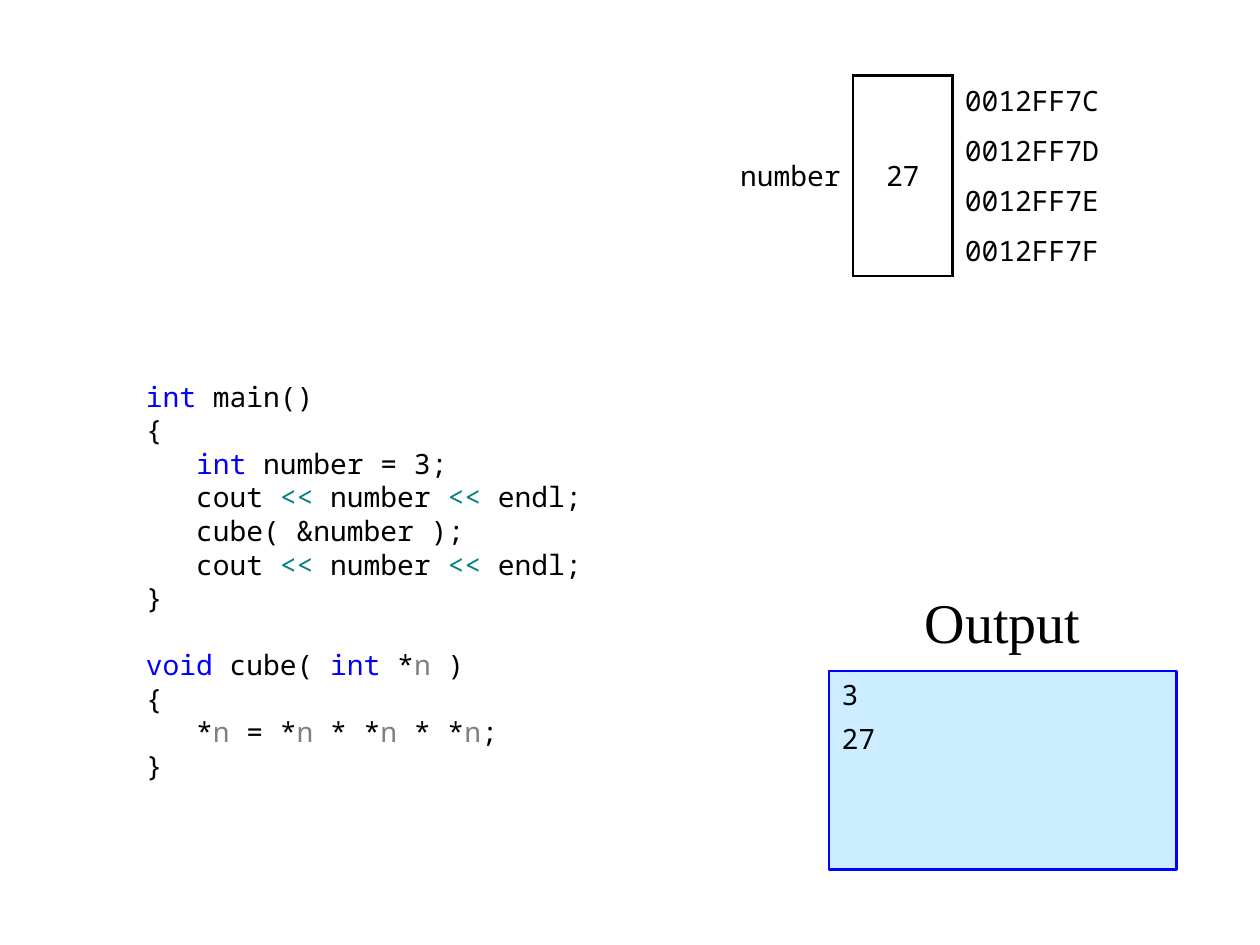
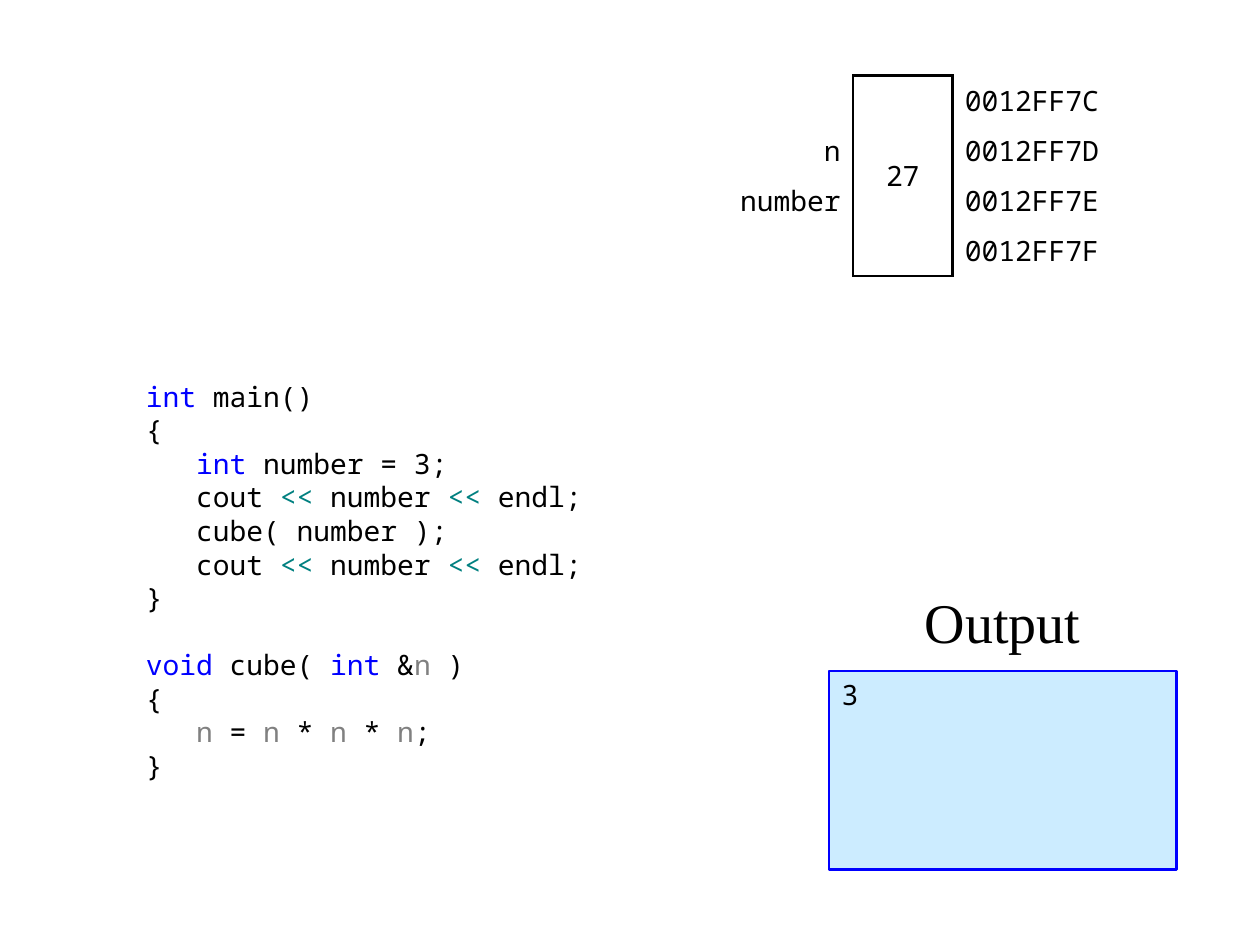
from dataclasses import dataclass
from itertools import groupby

from lxml.etree import SubElement
from pptx import Presentation
from pptx.dml.color import RGBColor
from pptx.enum.shapes import MSO_SHAPE
from pptx.enum.text import MSO_ANCHOR, PP_ALIGN
from pptx.oxml.ns import qn
from pptx.slide import Slide
from pptx.table import Table, _Cell
from pptx.text.text import TextFrame, _Paragraph
from pptx.util import Pt

BLACK = RGBColor(0x00, 0x00, 0x00)
BLUE = RGBColor(0x00, 0x00, 0xFF)
TEAL = RGBColor(0x00, 0x80, 0x80)
GREY = RGBColor(0x80, 0x80, 0x80)
PALE_BLUE = RGBColor(0xCC, 0xEC, 0xFF)
TOKEN_COLOURS = {"int": BLUE, "void": BLUE, "<<": TEAL, "n": GREY}

CODE_FONT = {"name": "Noto Sans Mono", "size": Pt(16)}
TITLE_FONT = {"name": "Times New Roman", "size": Pt(32)}
CELL_FORMAT = {
    "vertical_anchor": MSO_ANCHOR.MIDDLE,
    "margin_left": Pt(7.2),
    "margin_right": Pt(7.2),
    "margin_top": Pt(1.44),
    "margin_bottom": Pt(1.44),
}
PLAIN_TABLE_STYLE = "{2D5ABB26-0587-4C30-8999-92F81FD0307C}"

UNIT = 28.35
LINE_WIDTH = Pt(1.5)
BLANK_LINE = Pt(19)
ADDRESSES = ["0012FF7C", "0012FF7D", "0012FF7E", "0012FF7F"]

MAIN_FUNCTION = """int main()
{{
   int number = 3;
   cout << number << endl;
   cube( {argument} );
   cout << number << endl;
}}"""
CUBE_FUNCTION = """void cube( int {parameter} )
{{
   {body}
}}"""


@dataclass(frozen=True)
class Label:
    text: str
    row: int
    rows: int = 1


@dataclass(frozen=True)
class Example:
    argument: str
    parameter: str
    body: str
    labels: list[Label]
    output: list[str]


EXAMPLES = [
    Example("&number", "*n", "*n = *n * *n * *n;", [Label("number", 1, 2)], ["3", "27"]),
    Example("number", "&n", "n = n * n * n;", [Label("n", 1), Label("number", 2)], ["3"]),
]


def apply(target: object, values: dict) -> None:
    for name, value in values.items():
        setattr(target, name, value)


def add_run(paragraph: _Paragraph, text: str, font: dict, colour: RGBColor = BLACK) -> None:
    run = paragraph.add_run()
    run.text = text
    apply(run.font, font)
    run.font.color.rgb = colour


def next_paragraph(frame: TextFrame, index: int) -> _Paragraph:
    return frame.add_paragraph() if index else frame.paragraphs[0]


def character_kind(character: str) -> str:
    if character.isalnum():
        return "word"
    return "shift" if character == "<" else "other"


def add_code_line(paragraph: _Paragraph, line: str) -> None:
    tokens = ["".join(group) for _, group in groupby(line, character_kind)]
    for colour, group in groupby(tokens, lambda token: TOKEN_COLOURS.get(token, BLACK)):
        add_run(paragraph, "".join(group), CODE_FONT, colour)


def add_code(slide: Slide, example: Example) -> None:
    box = slide.shapes.add_textbox(Pt(76.3), Pt(213.1), Pt(269.3), Pt(241.2))
    frame = box.text_frame
    frame.word_wrap = True
    main_lines = MAIN_FUNCTION.format(argument=example.argument).split("\n")
    cube = CUBE_FUNCTION.format(parameter=example.parameter, body=example.body)
    for index, line in enumerate(main_lines + cube.split("\n")):
        paragraph = next_paragraph(frame, index)
        if index == len(main_lines):
            paragraph.space_before = BLANK_LINE
        add_code_line(paragraph, line)


def add_output(slide: Slide, lines: list[str]) -> None:
    screen = slide.shapes.add_shape(
        MSO_SHAPE.RECTANGLE, Pt(473.8), Pt(383.5), Pt(7 * UNIT), Pt(4 * UNIT)
    )
    screen.shadow.inherit = False
    screen.fill.solid()
    screen.fill.fore_color.rgb = PALE_BLUE
    screen.line.color.rgb = BLUE
    screen.line.width = LINE_WIDTH
    screen.text_frame.vertical_anchor = MSO_ANCHOR.TOP
    for index, line in enumerate(lines):
        paragraph = next_paragraph(screen.text_frame, index)
        paragraph.alignment = PP_ALIGN.LEFT
        if index:
            paragraph.space_before = Pt(6)
        add_run(paragraph, line, CODE_FONT)

    title = slide.shapes.add_textbox(Pt(516.2), Pt(326.8), Pt(4 * UNIT), Pt(2 * UNIT))
    apply(title.text_frame, {"word_wrap": False, "vertical_anchor": MSO_ANCHOR.MIDDLE})
    paragraph = title.text_frame.paragraphs[0]
    paragraph.alignment = PP_ALIGN.CENTER
    add_run(paragraph, "Output", TITLE_FONT)


def set_borders(cell: _Cell, sides: str) -> None:
    properties = cell._tc.get_or_add_tcPr()
    for position, side in enumerate(sides):
        line = properties.makeelement(qn(f"a:ln{side}"), {"w": str(LINE_WIDTH)})
        fill = SubElement(line, qn("a:solidFill"))
        SubElement(fill, qn("a:srgbClr"), val=str(BLACK))
        properties.insert(position, line)


def write_cell(cell: _Cell, text: str, alignment: PP_ALIGN) -> None:
    apply(cell, CELL_FORMAT)
    paragraph = cell.text_frame.paragraphs[0]
    paragraph.alignment = alignment
    add_run(paragraph, text, CODE_FONT)


def merge_rows(table: Table, column: int, first: int, count: int) -> _Cell:
    cell = table.cell(first, column)
    if count > 1:
        cell.merge(table.cell(first + count - 1, column))
    return cell


def add_memory(slide: Slide, labels: list[Label]) -> None:
    count = len(ADDRESSES)
    table = slide.shapes.add_table(
        count, 3, Pt(402.5), Pt(43.2), Pt(9 * UNIT), Pt(count * UNIT)
    ).table
    apply(table, {"first_row": False, "horz_banding": False})
    table._tbl.tblPr.find(qn("a:tableStyleId")).text = PLAIN_TABLE_STYLE
    for column, units in zip(table.columns, (3, 2, 4)):
        column.width = Pt(units * UNIT)
    for row in table.rows:
        row.height = Pt(UNIT)
    for cell in table.iter_cells():
        cell.fill.background()

    write_cell(merge_rows(table, 1, 0, count), "27", PP_ALIGN.CENTER)
    for label in labels:
        cell = merge_rows(table, 0, label.row, label.rows)
        write_cell(cell, label.text, PP_ALIGN.RIGHT)
    for row, address in enumerate(ADDRESSES):
        write_cell(table.cell(row, 2), address, PP_ALIGN.LEFT)
        set_borders(table.cell(row, 0), "R")
        set_borders(table.cell(row, 1), "LRTB" if row == 0 else "LRB" if row == count - 1 else "LR")
        set_borders(table.cell(row, 2), "L")


def main() -> None:
    presentation = Presentation()
    apply(presentation, {"slide_width": Pt(720), "slide_height": Pt(540)})
    for example in EXAMPLES:
        slide = presentation.slides.add_slide(presentation.slide_layouts[6])
        add_code(slide, example)
        add_output(slide, example.output)
        add_memory(slide, example.labels)
    presentation.save("out.pptx")


if __name__ == "__main__":
    main()
